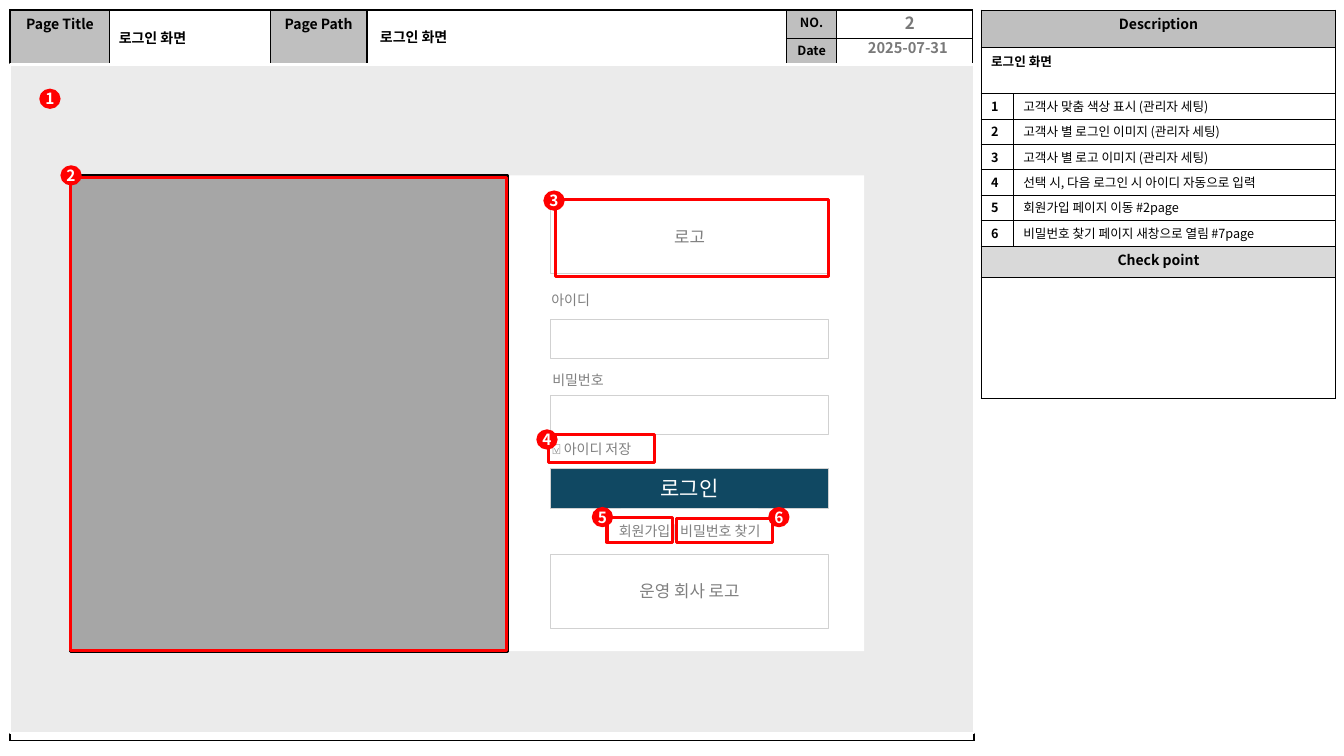
from dataclasses import dataclass

from lxml import etree
from pptx import Presentation
from pptx.dml.color import RGBColor
from pptx.enum.shapes import MSO_SHAPE
from pptx.enum.text import MSO_ANCHOR, PP_ALIGN
from pptx.oxml.ns import qn
from pptx.util import Inches, Pt

RECT, OVAL = MSO_SHAPE.RECTANGLE, MSO_SHAPE.OVAL
LEFT, CENTER, RIGHT = PP_ALIGN.LEFT, PP_ALIGN.CENTER, PP_ALIGN.RIGHT
TOP, MIDDLE, BOTTOM = MSO_ANCHOR.TOP, MSO_ANCHOR.MIDDLE, MSO_ANCHOR.BOTTOM


@dataclass(frozen=True)
class Theme:
    font: str = "Noto Sans CJK KR"
    ink: str = "000000"
    paper: str = "FFFFFF"
    head: str = "BFBFBF"
    band: str = "D9D9D9"
    photo: str = "A6A6A6"
    label: str = "808080"
    stamp: str = "797979"
    edge: str = "D1D1D1"
    button: str = "104862"
    alert: str = "FF0000"
    small: float = 9
    body: float = 10
    date: float = 10.5
    marker: float = 11
    large: float = 12
    action: float = 15


THEME = Theme()


def grid(count):
    return Inches(count / 10)


def place(box, x, y, w, h):
    return box[0] + x, box[1] + y, w, h


def rgb(color):
    return RGBColor.from_string(color)


def write(frame, wording, size, color=THEME.ink, bold=False, align=LEFT, anchor=TOP):
    frame.vertical_anchor = anchor
    paragraph = frame.paragraphs[0]
    paragraph.alignment = align
    run = paragraph.add_run()
    run.text = wording
    font = run.font
    font.size, font.bold, font.name = Pt(size), bold, THEME.font
    font.color.rgb = rgb(color)
    etree.SubElement(run._r.get_or_add_rPr(), qn("a:ea"), typeface=THEME.font)


def add_label(slide, box, wording, size, color, bold=False, align=LEFT, anchor=TOP, wrap=True):
    label = slide.shapes.add_textbox(*map(grid, box))
    label.text_frame.word_wrap = wrap
    write(label.text_frame, wording, size, color, bold, align, anchor)


def add_block(slide, box, fill=None, line=None, width=0.5, kind=RECT):
    block = slide.shapes.add_shape(kind, *map(grid, box))
    block.shadow.inherit = False
    if fill:
        block.fill.solid()
        block.fill.fore_color.rgb = rgb(fill)
    else:
        block.fill.background()
    if line:
        block.line.color.rgb = rgb(line)
        block.line.width = Pt(width)
    else:
        block.line.fill.background()
    return block


def add_grid_table(slide, box, columns, rows, border):
    table = slide.shapes.add_table(len(rows), len(columns), *map(grid, box)).table
    for column, width in zip(table.columns, columns):
        column.width = grid(width)
    for row, height in zip(table.rows, rows):
        row.height = grid(height)
    for cell in table.iter_cells():
        cell.margin_top = cell.margin_bottom = grid(0.3)
        cell.text_frame.paragraphs[0]._p.get_or_add_endParaRPr().set("sz", "900")
        properties = cell._tc.get_or_add_tcPr()
        for side in ("lnL", "lnR", "lnT", "lnB"):
            line = etree.SubElement(properties, qn(f"a:{side}"), w=str(Pt(border)))
            solid = etree.SubElement(line, qn("a:solidFill"))
            etree.SubElement(solid, qn("a:srgbClr"), val=THEME.ink)
        paint(cell, THEME.paper)
    return table


def paint(cell, color):
    cell.fill.solid()
    cell.fill.fore_color.rgb = rgb(color)


def add_header(slide, box):
    table = add_grid_table(slide, box, (9.9, 15.9, 9.6, 41.6, 5, 13.5), (2.8, 2.7), 1)
    for column in range(4):
        table.cell(0, column).merge(table.cell(1, column))
    headings = (
        (0, 0, "Page Title", THEME.body, BOTTOM),
        (0, 2, "Page Path", THEME.body, BOTTOM),
        (0, 4, "NO.", THEME.small, MIDDLE),
        (1, 4, "Date.", THEME.small, MIDDLE),
    )
    for row, column, wording, size, anchor in headings:
        cell = table.cell(row, column)
        paint(cell, THEME.head)
        write(cell.text_frame, wording, size, bold=True, align=CENTER, anchor=anchor)


def add_header_values(slide, box):
    add_label(slide, place(box, 86.5, 0, 4.2, 2.5), "2", THEME.large, THEME.stamp, True, RIGHT, MIDDLE)
    add_label(slide, place(box, 84.1, 2.1, 11.5, 3.2), "2025-07-31", THEME.date, THEME.stamp, True, anchor=MIDDLE)
    for x, y, width in ((9.8, 1.4, 14.7), (35.7, 1.3, 28.2)):
        add_label(slide, place(box, x, y, width, 2.7), "로그인 화면", THEME.body, THEME.ink, True)


def add_screen(slide, box):
    add_grid_table(slide, box, (box[2],), (box[3],), 1)
    backdrop = add_block(slide, place(box, 0, -0.1, box[2], 66.3), THEME.band, THEME.paper, 1.5)
    tint = backdrop.fill._xPr.find(qn("a:solidFill"))[0]
    etree.SubElement(tint, qn("a:alpha"), val="50000")


def add_login_card(slide, box):
    add_block(slide, box, THEME.paper)
    add_block(slide, place(box, 0, 0, 43.3, box[3]), THEME.photo, THEME.ink, 2.25)
    form_left, form_width = 47.6, 27.6
    fields = (
        (14.3, 3.9, "", THEME.paper, THEME.body, THEME.label),
        (21.8, 3.9, "", THEME.paper, THEME.body, THEME.label),
        (2.4, 7.3, "로고", THEME.paper, THEME.large, THEME.label),
        (37.6, 7.3, "운영 회사 로고", THEME.paper, THEME.large, THEME.label),
        (29.1, 3.9, "로그인", THEME.button, THEME.action, THEME.paper),
    )
    for y, height, wording, fill, size, color in fields:
        field = add_block(slide, place(box, form_left, y, form_width, height), fill, THEME.edge)
        if wording:
            write(field.text_frame, wording, size, color, align=CENTER, anchor=MIDDLE)
    captions = ((46.8, 19, 7.6, "비밀번호"), (46.7, 11, 6.2, "아이디"), (46.8, 25.8, 11.4, "⍌ 아이디 저장"))
    for x, y, width, wording in captions:
        add_label(slide, place(box, x, y, width, 2.7), wording, THEME.body, THEME.label, wrap=False)
    links = place(box, form_left, 33.9, form_width, 2.7)
    add_label(slide, links, "회원가입 | 비밀번호 찾기", THEME.body, THEME.label, align=CENTER)


def add_description(slide, box):
    notes = (
        "고객사 맞춤 색상 표시 (관리자 세팅)",
        "고객사 별 로그인 이미지 (관리자 세팅)",
        "고객사 별 로고 이미지 (관리자 세팅)",
        "선택 시, 다음 로그인 시 아이디 자동으로 입력",
        "회원가입 페이지 이동 #2page",
        "비밀번호 찾기 페이지 새창으로 열림 #7page",
    )
    rows = (3.7, 4.6, *[2.52] * len(notes), 3.1, 12)
    table = add_grid_table(slide, box, (3.2, 32), rows, 0.75)
    check = len(notes) + 2
    for row in (0, 1, check, check + 1):
        table.cell(row, 0).merge(table.cell(row, 1))
    for row, wording, fill in ((0, "Description", THEME.head), (check, "Check point", THEME.band)):
        paint(table.cell(row, 0), fill)
        write(table.cell(row, 0).text_frame, wording, THEME.body, bold=True, align=CENTER, anchor=MIDDLE)
    summary = table.cell(1, 0)
    summary.margin_top = grid(0.5)
    write(summary.text_frame, "로그인 화면", THEME.small, bold=True)
    for number, note in enumerate(notes, 1):
        for column, wording in enumerate((str(number), note)):
            cell = table.cell(number + 1, column)
            write(cell.text_frame, wording, THEME.small, bold=column == 0, anchor=MIDDLE)


def add_callouts(slide, box):
    outlines = (
        (0, 0.2, 43.2, 46.9),
        (48.1, 2.4, 27.1, 7.6),
        (47.4, 25.7, 10.5, 2.8),
        (53.2, 33.9, 6.5, 2.5),
        (60.1, 34, 9.5, 2.4),
    )
    for outline in outlines:
        add_block(slide, place(box, *outline), line=THEME.alert, width=2.25)
    markers = ((-3, -8.5), (-0.9, -0.9), (47, 1.6), (46.3, 25.3), (51.8, 33), (69.3, 33))
    for number, (x, y) in enumerate(markers, 1):
        marker = add_block(slide, place(box, x, y, 1.9, 1.8), THEME.alert, THEME.alert, 1.5, OVAL)
        frame = marker.text_frame
        frame.margin_left = frame.margin_right = frame.margin_top = frame.margin_bottom = 0
        frame.word_wrap = False
        write(frame, str(number), THEME.marker, THEME.paper, True, CENTER, MIDDLE)


def main():
    deck = Presentation()
    deck.slide_width, deck.slide_height = Inches(13.33), Inches(7.5)
    slide = deck.slides.add_slide(deck.slide_layouts[6])
    header = (1, 1, 95.5, 5.5)
    card = (7, 17.4, 78.7, 47.2)
    add_header(slide, header)
    add_screen(slide, (1, 6.5, 95.6, 67))
    add_header_values(slide, header)
    add_login_card(slide, card)
    add_description(slide, (97.3, 1, 35.2, 38.52))
    add_callouts(slide, card)
    deck.save("out.pptx")


if __name__ == "__main__":
    main()
